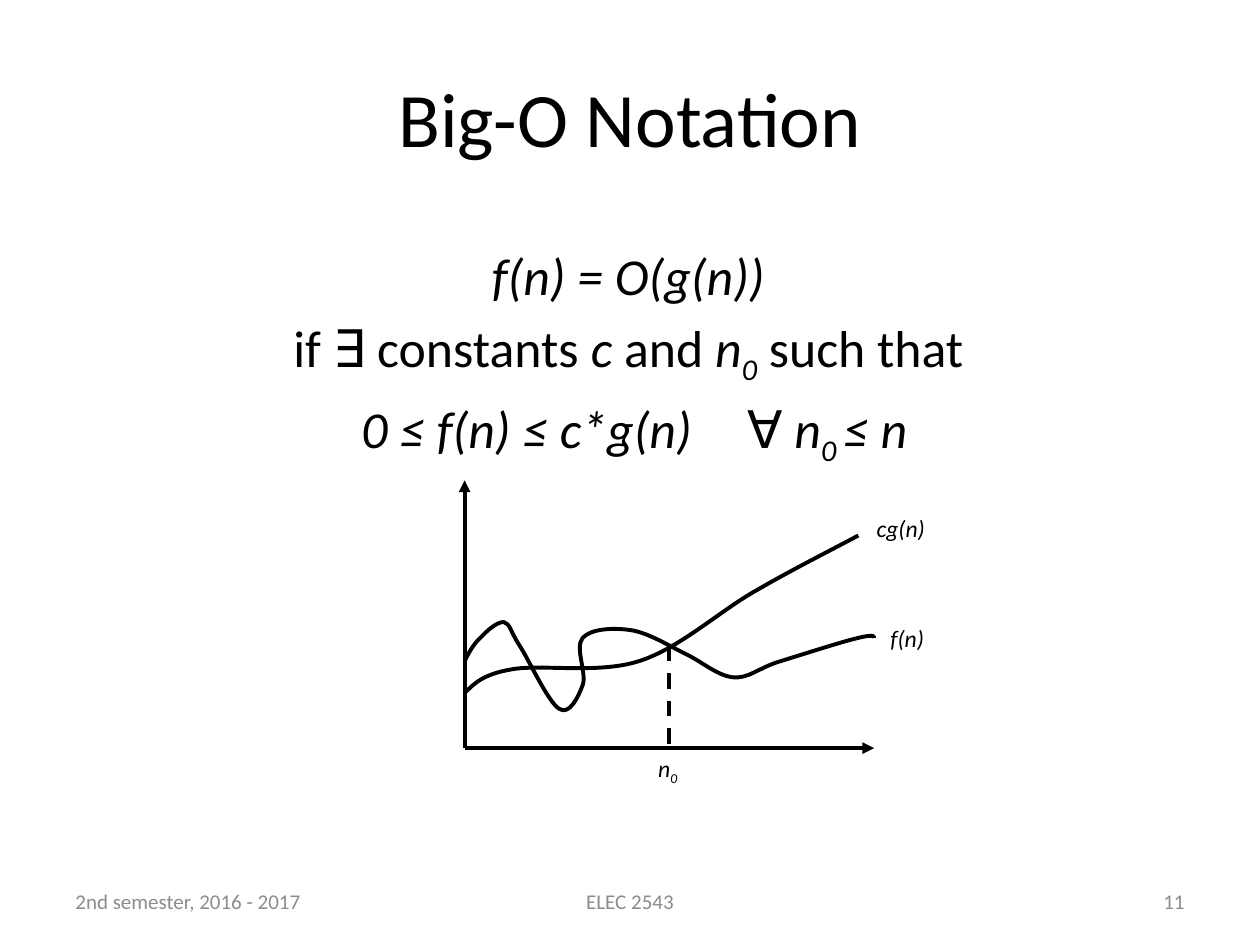
from dataclasses import dataclass

from lxml import etree
from pptx import Presentation
from pptx.dml.color import RGBColor
from pptx.enum.dml import MSO_LINE
from pptx.enum.shapes import MSO_CONNECTOR
from pptx.enum.text import MSO_ANCHOR, MSO_AUTO_SIZE, PP_ALIGN
from pptx.oxml.ns import qn
from pptx.util import Pt

LEFT, CENTER, RIGHT = PP_ALIGN.LEFT, PP_ALIGN.CENTER, PP_ALIGN.RIGHT
TOP, MIDDLE = MSO_ANCHOR.TOP, MSO_ANCHOR.MIDDLE
FIXED, FIT_SHAPE = MSO_AUTO_SIZE.NONE, MSO_AUTO_SIZE.SHAPE_TO_FIT_TEXT
STRAIGHT, DASH = MSO_CONNECTOR.STRAIGHT, MSO_LINE.DASH


@dataclass(frozen=True)
class Theme:
    font: str = "Calibri"
    ink: RGBColor = RGBColor(0, 0, 0)
    muted: RGBColor = RGBColor(0x8C, 0x8C, 0x8C)
    title: float = 44
    body: float = 29.6
    label: float = 13.5
    footer: float = 12
    stroke: float = 2.25


THEME = Theme()

# Run styles: upright, italic, italic subscript
UP, IT, SUB = "upright", "italic", "subscript"

DEFINITION = [
    [("f(n) = O(g(n)) ", IT)],
    [("if ∃ constants ", UP), ("c", IT), (" and ", UP), ("n", IT),
     ("0", SUB), (" such that ", UP)],
    [("0 ≤ f(n) ≤ c*g(n)\t  ∀ n", IT), ("0 ", SUB), ("≤ n", IT)],
]

# Bezier points in points from the plot's top left: start, then three a segment
CG_CURVE = [
    (0, 121.5),
    (5.2, 116.5), (10.3, 110.7), (27, 108),
    (43.4, 104.9), (75.8, 110.7), (99, 103.5),
    (122.6, 96.3), (145.6, 74.7), (166.5, 63),
    (187.4, 50.9), (206.1, 41.6), (225, 31.5),
]
F_CURVE = [
    (0, 103.5),
    (2.3, 98.5), (5.2, 93.4), (9, 90),
    (12.4, 86.2), (18.9, 80.5), (22.5, 81),
    (26.1, 81.9), (26.1, 86.2), (31.5, 94.5),
    (36.9, 102.8), (47.7, 126.5), (54, 130.5),
    (59.9, 134.5), (65, 123.7), (67.5, 117),
    (70, 110), (62.8, 95.6), (67.5, 90),
    (72.2, 84.8), (84.4, 84.1), (94.5, 85.5),
    (104.6, 86.9), (116.1, 94.1), (126, 99),
    (135.5, 103.5), (144.2, 111.4), (153, 112.5),
    (162.2, 113.6), (168, 107.1), (180, 103.5),
    (191.7, 99.9), (216.2, 92), (225, 90),
    (234.2, 87.7), (234.2, 89.3), (234, 90),
]


def add_runs(paragraph, parts, size, color=THEME.ink):
    for text, style in parts:
        run = paragraph.add_run()
        run.text = text
        font = run.font
        font.name, font.size, font.italic = THEME.font, Pt(size), style != UP
        font.color.rgb = color
        if style == SUB:
            run._r.get_or_add_rPr().set("baseline", "-25000")


def place(shape, box):
    shape.left, shape.top, shape.width, shape.height = map(Pt, box)


def add_text(slide, box, parts, size, color=THEME.ink, align=LEFT,
             anchor=TOP, wrap=True):
    frame = slide.shapes.add_textbox(*map(Pt, box)).text_frame
    frame.word_wrap = wrap
    frame.auto_size = FIXED if wrap else FIT_SHAPE
    frame.vertical_anchor = anchor
    frame.paragraphs[0].alignment = align
    add_runs(frame.paragraphs[0], parts, size, color)


def style_line(line):
    line.color.rgb = THEME.ink
    line.width = Pt(THEME.stroke)


def add_line(slide, start, end, arrow=False, dashed=False):
    connector = slide.shapes.add_connector(STRAIGHT, *map(Pt, start + end))
    style_line(connector.line)
    if dashed:
        connector.line.dash_style = DASH
    properties = connector.element.spPr
    if arrow:
        outline = properties.find(qn("a:ln"))
        etree.SubElement(outline, qn("a:tailEnd"), type="triangle")
    etree.SubElement(properties, qn("a:effectLst"))


def add_curve(slide, points):
    start, *rest = [(Pt(x), Pt(y)) for x, y in points]
    builder = slide.shapes.build_freeform(*start)
    builder.add_line_segments(rest, close=False)
    curve = builder.convert_to_shape()
    curve.shadow.inherit = False
    curve.fill.background()
    style_line(curve.line)
    # Join each three straight steps into one cubic segment
    steps = list(curve.element.iter(qn("a:lnTo")))
    for i in range(0, len(steps), 3):
        cubic = etree.Element(qn("a:cubicBezTo"))
        steps[i].addprevious(cubic)
        for step in steps[i:i + 3]:
            cubic.append(step[0])
            step.getparent().remove(step)


def fill_title(slide, box):
    title = slide.shapes.title
    place(title, box)
    frame = title.text_frame
    frame.vertical_anchor = MIDDLE
    frame.paragraphs[0].alignment = CENTER
    add_runs(frame.paragraphs[0], [("Big-O Notation", UP)], THEME.title)


def fill_definition(slide, box):
    body = slide.placeholders[1]
    place(body, box)
    frame = body.text_frame
    frame.auto_size = FIXED
    for i, parts in enumerate(DEFINITION):
        paragraph = frame.add_paragraph() if i else frame.paragraphs[0]
        paragraph.alignment = CENTER
        etree.SubElement(paragraph._p.get_or_add_pPr(), qn("a:buNone"))
        add_runs(paragraph, parts, THEME.body)


def draw_graph(slide, box):
    left, top, width, height = box

    def at(x, y):
        return left + x, top + y

    # Axes
    origin = at(0, height)
    add_line(slide, origin, at(0, 0), arrow=True)
    add_line(slide, origin, at(width, height), arrow=True)
    # Curves
    for points in (CG_CURVE, F_CURVE):
        add_curve(slide, [at(x, y) for x, y in points])
    # Crossing point
    add_line(slide, at(117, 94.5), at(117, height), dashed=True)
    # Labels
    for x, y, label_width, parts in (
        (228.4, 15.7, 42.5, [("cg(n)", IT)]),
        (236.3, 78.3, 33.8, [("f(n)", IT)]),
        (103.5, height, 26, [("n", IT), ("0", SUB)]),
    ):
        add_text(slide, at(x, y) + (label_width, 23.8), parts, THEME.label,
                 wrap=False)


def add_footer(slide, box):
    left, top, width, height = box
    side, middle = 168, 228
    for x, part_width, text, align in (
        (0, side, "2nd semester, 2016 - 2017", LEFT),
        ((width - middle) / 2, middle, "ELEC 2543", CENTER),
        (width - side, side, "11", RIGHT),
    ):
        add_text(slide, (left + x, top, part_width, height), [(text, UP)],
                 THEME.footer, THEME.muted, align, MIDDLE)


prs = Presentation()
prs.slide_width, prs.slide_height = Pt(720), Pt(540)
slide = prs.slides.add_slide(prs.slide_layouts[1])
add_footer(slide, (36, 500.5, 648, 28.75))
fill_title(slide, (36, 21.6, 648, 90))
fill_definition(slide, (119.5, 135.4, 486, 121.5))
draw_graph(slide, (265.5, 274.5, 234, 153))
prs.save("out.pptx")
